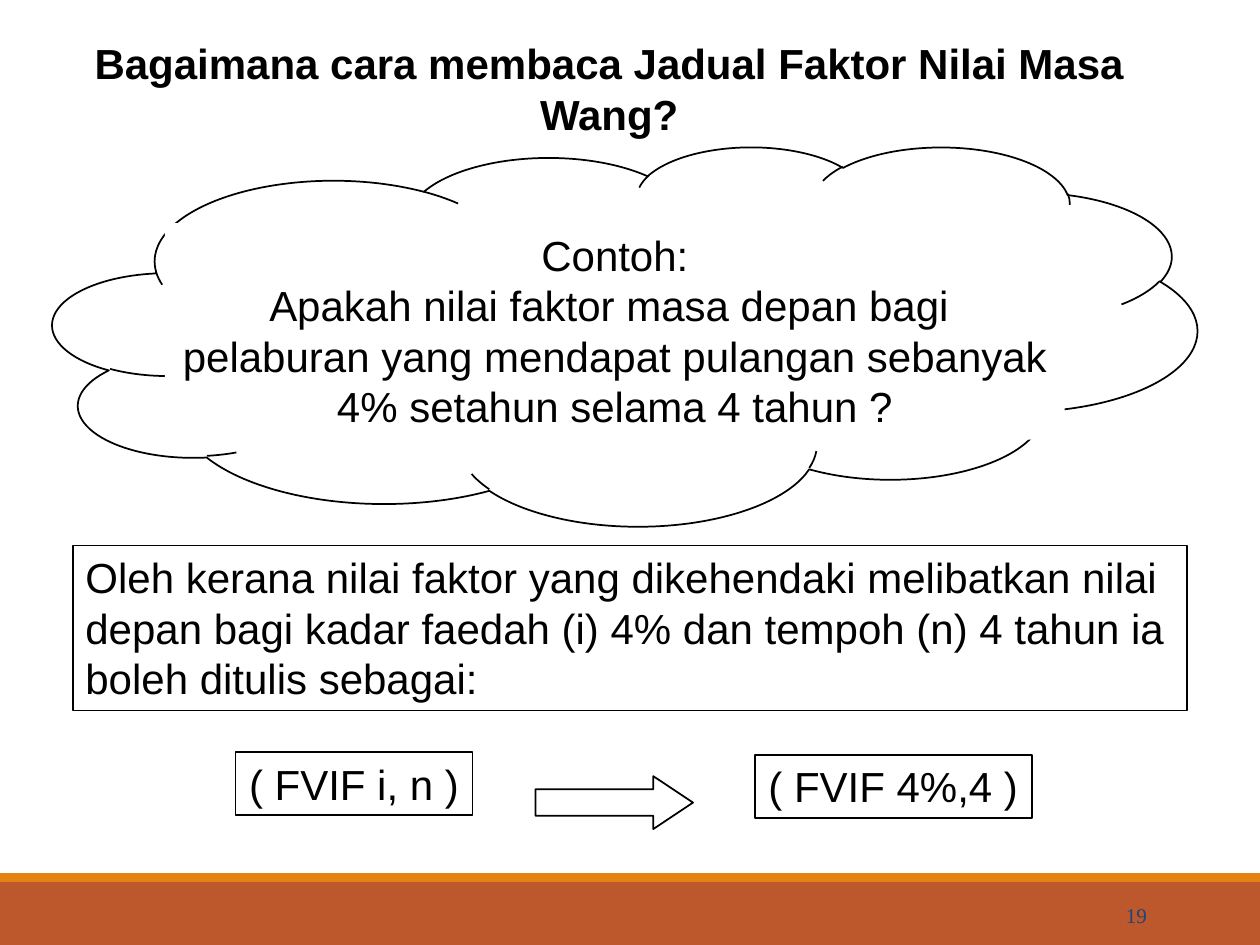
from dataclasses import dataclass
from typing import Optional

from pptx import Presentation
from pptx.dml.color import RGBColor
from pptx.enum.shapes import MSO_SHAPE as Shape
from pptx.enum.text import MSO_ANCHOR as Anchor, MSO_AUTO_SIZE as AutoSize, PP_ALIGN as Align
from pptx.util import Inches, Pt

BLACK, WHITE = "000000", "FFFFFF"


@dataclass
class Block:
    left: float
    top: float
    width: float
    height: float
    kind: Shape = Shape.RECTANGLE
    fill: str = WHITE
    line: Optional[str] = BLACK
    text: str = ""
    align: Align = Align.CENTER


def color(value: str) -> RGBColor:
    return RGBColor.from_string(value)


def write(shape, text: str, align: Align, anchor: Anchor = Anchor.TOP, size: int = 24,
          font: str = "Arial", ink: str = BLACK, bold: bool = False) -> None:
    frame = shape.text_frame
    frame.text = text
    frame.word_wrap = True
    frame.auto_size = AutoSize.NONE
    frame.vertical_anchor = anchor
    for paragraph in frame.paragraphs:
        paragraph.alignment = align
        for run in paragraph.runs:
            run.font.name = font
            run.font.size = Pt(size)
            run.font.bold = bold
            run.font.color.rgb = color(ink)


def draw(slide, block: Block):
    shape = slide.shapes.add_shape(block.kind, Inches(block.left), Inches(block.top),
                                   Inches(block.width), Inches(block.height))
    shape.shadow.inherit = False
    shape.fill.solid()
    shape.fill.fore_color.rgb = color(block.fill)
    if block.line:
        shape.line.color.rgb = color(block.line)
        shape.line.width = Pt(1)
    else:
        shape.line.fill.background()
    if block.text:
        write(shape, block.text, block.align)
    return shape


FOOTER_BANDS = [
    Block(0, 7, 10, 0.5, fill="BD582C", line=None),
    Block(0, 6.93, 10, 0.07, fill="E48312", line=None),
]
EXAMPLE = [
    Block(0.42, 1.16, 9.08, 3.01, Shape.CLOUD),
    Block(1.31, 1.77, 7.14, 1.72, line=None,
          text="Contoh:\nApakah nilai faktor masa depan bagi \n"
               "pelaburan yang mendapat pulangan sebanyak\n4% setahun selama 4 tahun ?"),
]
EXPLANATION = Block(
    0.58, 4.33, 8.84, 1.31, align=Align.LEFT,
    text="Oleh kerana nilai faktor yang dikehendaki melibatkan nilai depan bagi "
         "kadar faedah (i) 4% dan tempoh (n) 4 tahun ia boleh ditulis sebagai:")
FORMULAS = [
    Block(1.87, 5.97, 1.88, 0.5, text="( FVIF i, n )"),
    Block(5.99, 5.99, 2.2, 0.5, text="( FVIF 4%,4 )"),
]
ARROW = Block(4.25, 6.16, 1.25, 0.42, Shape.RIGHT_ARROW)


def main() -> None:
    presentation = Presentation()
    presentation.slide_width, presentation.slide_height = Inches(10), Inches(7.5)
    slide = presentation.slides.add_slide(presentation.slide_layouts[5])

    # Title
    title = slide.shapes.title
    title.left, title.top = Inches(0.42), Inches(0.25)
    title.width, title.height = Inches(8.83), Inches(0.91)
    write(title, "Bagaimana cara membaca Jadual Faktor Nilai Masa Wang?", Align.CENTER, bold=True)

    # Footer, example cloud, explanation and formulas
    for block in [*FOOTER_BANDS, *EXAMPLE, EXPLANATION, *FORMULAS]:
        draw(slide, block)

    # Arrow from the general formula to the worked one
    arrow = draw(slide, ARROW)
    arrow.adjustments[0], arrow.adjustments[1] = 0.5, 0.75

    # Slide number
    number = slide.shapes.add_textbox(Inches(8.12), Inches(7.06), Inches(1.08), Inches(0.4))
    write(number, "19", Align.RIGHT, Anchor.MIDDLE, 12, "Times New Roman", "1D4577")

    presentation.save("out.pptx")


if __name__ == "__main__":
    main()
